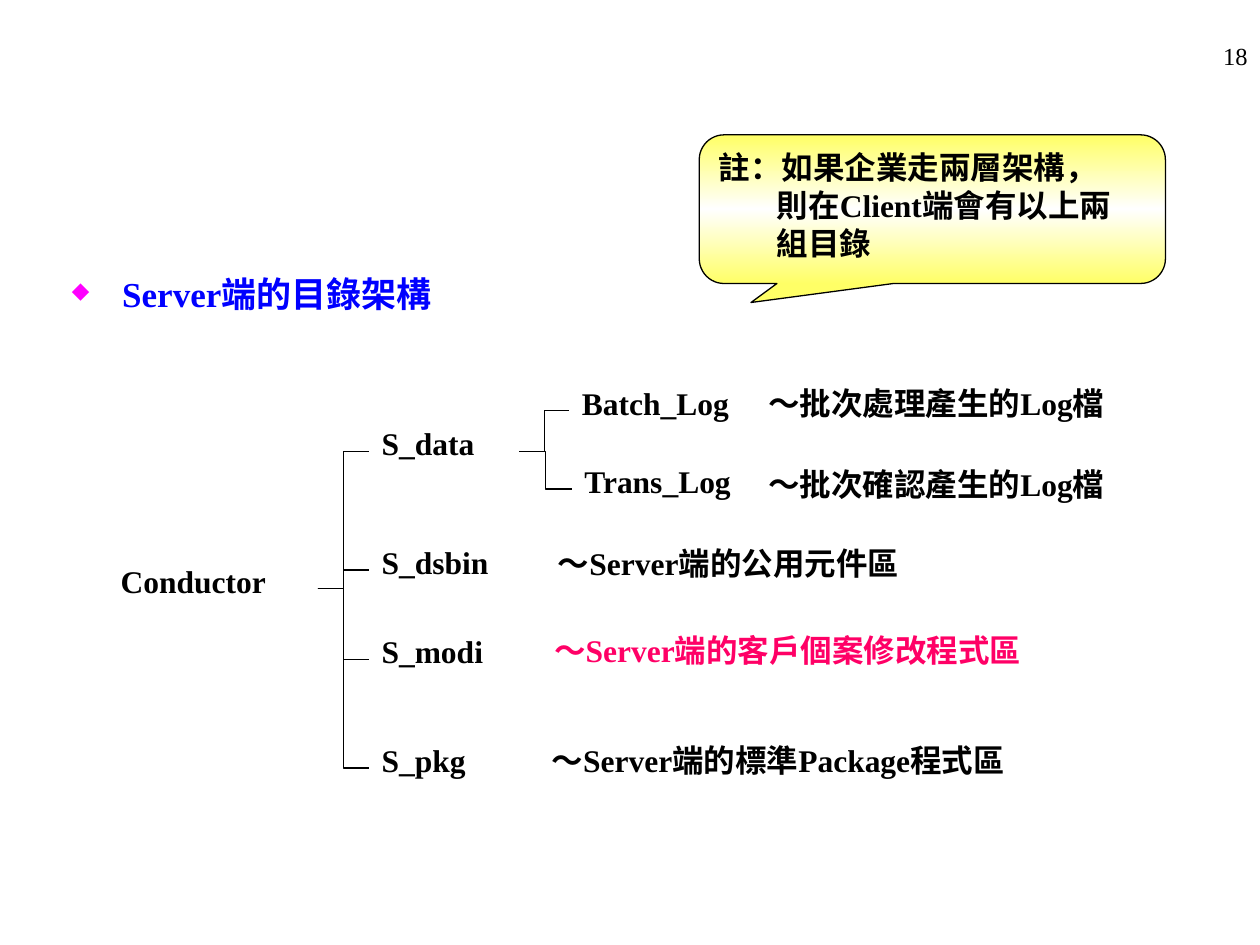
from lxml import etree
from pptx import Presentation
from pptx.dml.color import RGBColor
from pptx.enum.shapes import MSO_CONNECTOR, MSO_SHAPE
from pptx.enum.text import MSO_ANCHOR, PP_ALIGN
from pptx.oxml import parse_xml
from pptx.oxml.ns import nsdecls, qn
from pptx.util import Inches, Pt

ELBOW = MSO_CONNECTOR.ELBOW
CALLOUT = MSO_SHAPE.ROUNDED_RECTANGULAR_CALLOUT
TOP = MSO_ANCHOR.TOP
LEFT, RIGHT = PP_ALIGN.LEFT, PP_ALIGN.RIGHT
LEFT_SIDE, RIGHT_SIDE = 1, 3

FONT = "Times New Roman"
BLACK = RGBColor(0x00, 0x00, 0x00)
BLUE = RGBColor(0x00, 0x00, 0xFF)
PINK = RGBColor(0xFF, 0x00, 0x66)
BULLET_COLOR = RGBColor(0xFF, 0x00, 0xFF)
YELLOW = RGBColor(0xFF, 0xFF, 0x66)
WHITE = RGBColor(0xFF, 0xFF, 0xFF)

# Folder name, box, description, description box, description colour
FOLDERS = [
    ("S_data", (2.93, 3.32, 1.19, 0.53), None, None, None),
    ("S_dsbin", (2.93, 4.26, 1.66, 0.53),
     "～Server端的公用元件區", (4.33, 4.27, 3.53, 0.62), BLACK),
    ("S_modi", (2.93, 4.97, 1.66, 0.53),
     "～Server端的客戶個案修改程式區", (4.3, 4.96, 4.15, 0.62), PINK),
    ("S_pkg", (2.93, 5.83, 1.66, 0.53),
     "～Server端的標準Package程式區", (4.28, 5.83, 4.88, 0.62), BLACK),
]
LOG_FOLDERS = [
    ("Batch_Log", (4.52, 3, 1.66, 0.52),
     "～批次處理產生的Log檔", (6, 3, 3.53, 0.62), BLACK),
    ("Trans_Log", (4.54, 3.62, 1.66, 0.52),
     "～批次確認產生的Log檔", (6, 3.64, 3.53, 0.62), BLACK),
]


def inches(box):
    return [Inches(v) for v in box]


def set_text(sp, text, size=18, color=BLACK, bold=True, align=LEFT):
    tf = sp.text_frame
    tf.word_wrap = True
    tf.vertical_anchor = TOP
    tf.text = text
    p = tf.paragraphs[0]
    p.alignment = align
    for r in p.runs:
        r.font.name = FONT
        r.font.size = Pt(size)
        r.font.bold = bold
        r.font.color.rgb = color
    return p


def add_label(slide, box, text, **style):
    sp = slide.shapes.add_textbox(*inches(box))
    set_text(sp, text, **style)
    return sp


def set_hanging(p, indent):
    pPr = p._p.get_or_add_pPr()
    pPr.set("marL", str(Inches(indent)))
    pPr.set("indent", str(-Inches(indent)))
    return pPr


def add_heading(slide, box):
    sp = slide.shapes.title
    sp.left, sp.top, sp.width, sp.height = inches(box)
    p = set_text(sp, "Server端的目錄架構", size=20, color=BLUE)
    pPr = set_hanging(p, 0.4)
    bullet_color = etree.SubElement(pPr, qn("a:buClr"))
    etree.SubElement(bullet_color, qn("a:srgbClr"), val=str(BULLET_COLOR))
    etree.SubElement(pPr, qn("a:buSzPct"), val="65000")
    etree.SubElement(pPr, qn("a:buChar"), char="◆")


def add_branch(slide, parent, child):
    cxn = slide.shapes.add_connector(ELBOW, 0, 0, 0, 0)
    cxn.begin_connect(parent, RIGHT_SIDE)
    cxn.end_connect(child, LEFT_SIDE)
    cxn.line.color.rgb = BLACK
    cxn.line.width = Pt(0.75)
    etree.SubElement(cxn._element.spPr, qn("a:effectLst"))


def add_children(slide, parent, folders):
    """Place folders with their descriptions, joined to the parent folder."""
    labels = []
    for name, box, description, description_box, color in folders:
        label = add_label(slide, box, name)
        add_branch(slide, parent, label)
        if description:
            add_label(slide, description_box, description, color=color)
        labels.append(label)
    return labels


def add_tree(slide, root_box):
    root = add_label(slide, root_box, "Conductor")
    s_data = add_children(slide, root, FOLDERS)[0]
    add_children(slide, s_data, LOG_FOLDERS)


def add_note(slide, box):
    sp = slide.shapes.add_shape(CALLOUT, *inches(box))
    sp.shadow.inherit = False
    for i, value in enumerate((-0.389, 0.628, 0.167)):
        sp.adjustments[i] = value
    sp.line.color.rgb = BLACK
    sp.line.width = Pt(0.75)

    # Vertical gradient, white in the middle
    stops = "".join(
        f'<a:gs pos="{pos}"><a:srgbClr val="{color}"/></a:gs>'
        for pos, color in ((0, YELLOW), (50000, WHITE), (100000, YELLOW)))
    gradient = parse_xml(
        f'<a:gradFill {nsdecls("a")}><a:gsLst>{stops}</a:gsLst>'
        '<a:lin ang="5400000" scaled="0"/></a:gradFill>')
    sp._element.spPr.find(qn("a:prstGeom")).addnext(gradient)

    p = set_text(sp, "註：如果企業走兩層架構，\v則在Client端會有以上兩\v組目錄")
    set_hanging(p, 0.46)


def main():
    prs = Presentation()
    prs.slide_width, prs.slide_height = Inches(10), Inches(7.5)
    slide = prs.slides.add_slide(prs.slide_layouts[5])

    # Page number
    add_label(slide, (7.67, 0.28, 2.33, 0.52), "18",
              size=14, bold=False, align=RIGHT)
    add_heading(slide, (0.47, 2.11, 3.29, 0.44))
    add_tree(slide, (0.86, 4.41, 1.66, 0.52))
    add_note(slide, (5.55, 1.07, 3.7, 1.18))

    prs.save("out.pptx")


if __name__ == "__main__":
    main()
